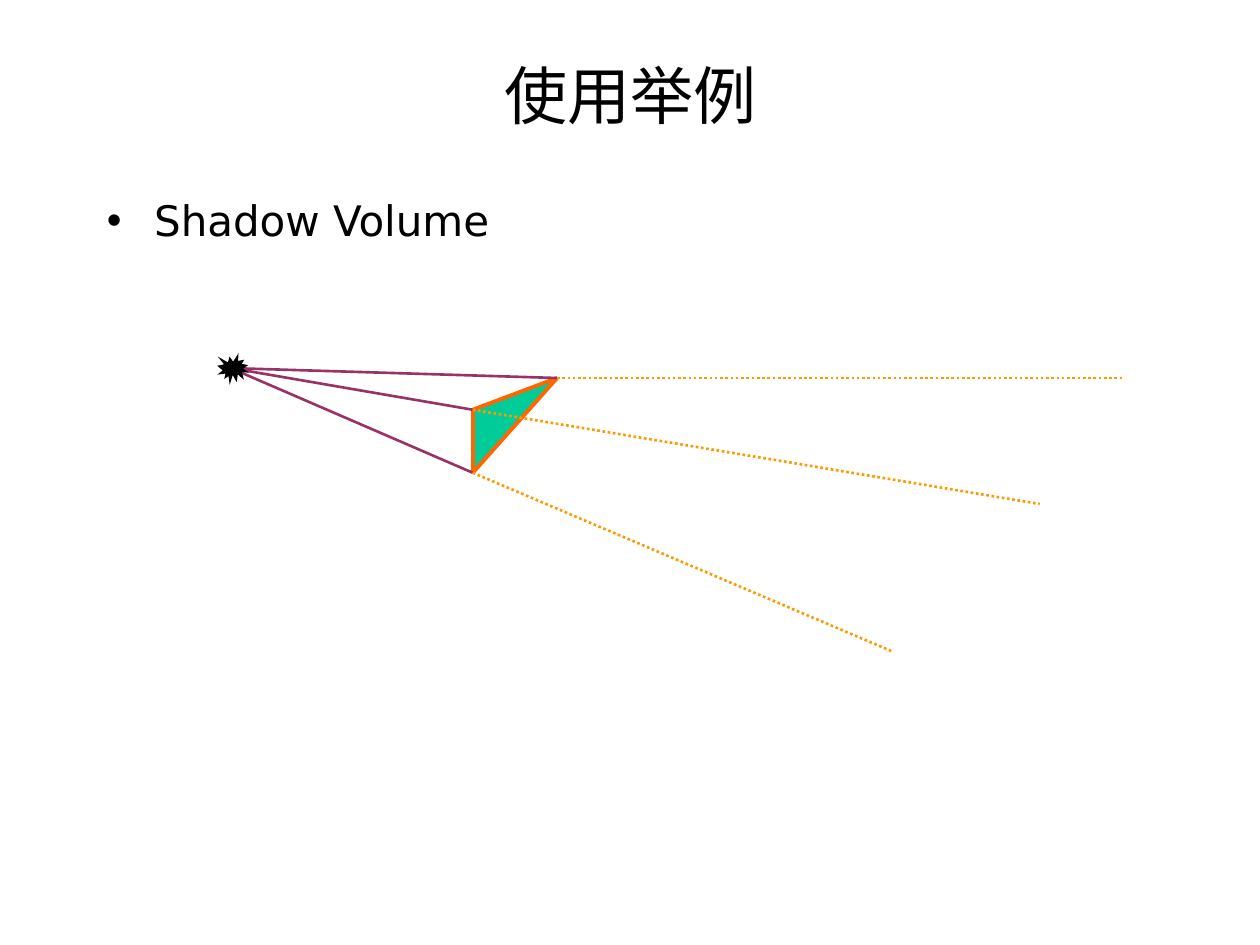
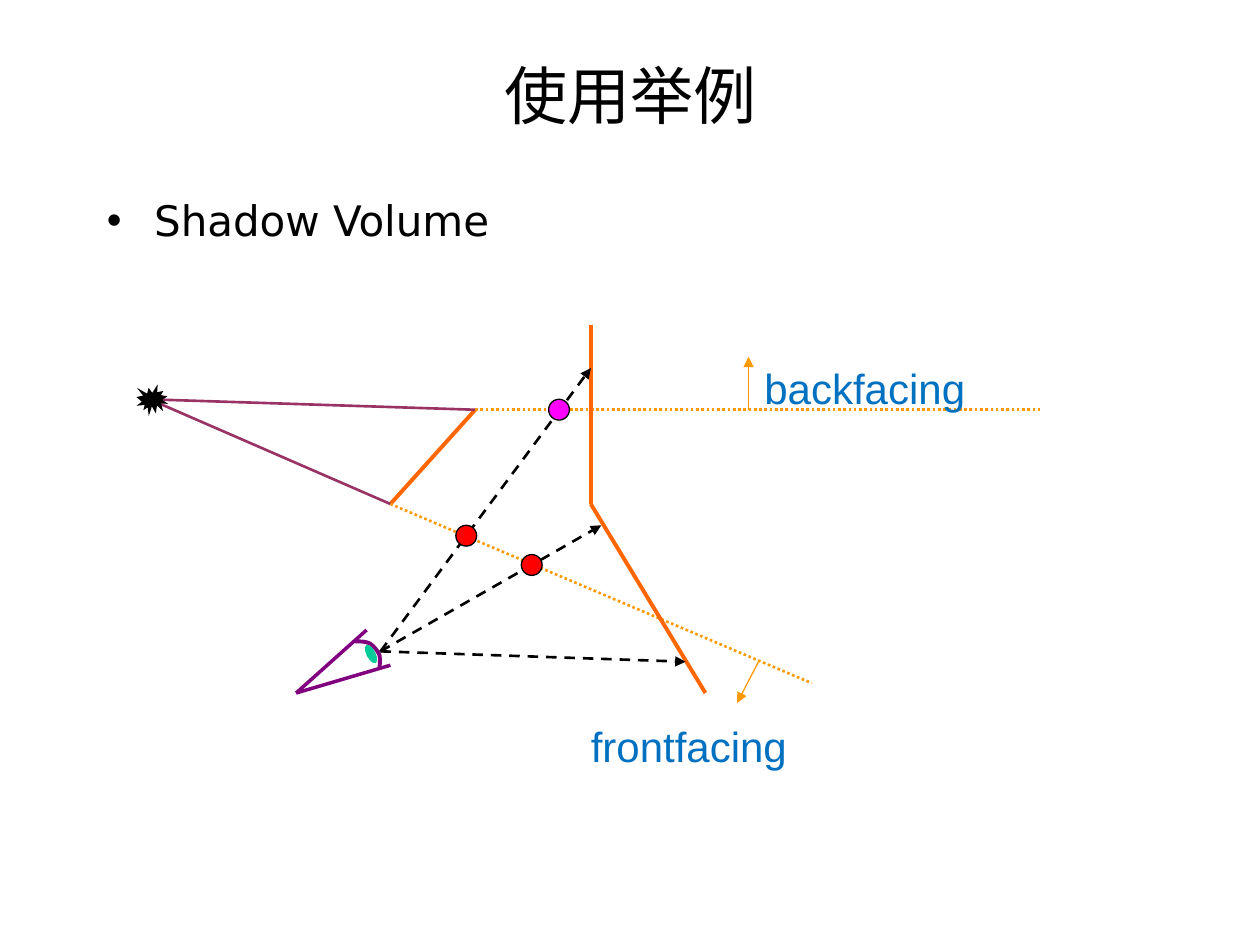
import pptx
import pptx.util
import pptx.dml.color
import pptx.enum.dml
import pptx.enum.shapes
import pptx.enum.text
import pptx.oxml
import pptx.oxml.ns

Cm = pptx.util.Cm
Pt = pptx.util.Pt
SHAPE = pptx.enum.shapes.MSO_SHAPE
DASH = pptx.enum.dml.MSO_LINE

TITLE = "使用举例"
BULLET = "Shadow Volume"
HEADING_FONT = "DejaVu Sans"
LABEL_FONT = "Arial"

COLORS = {
    "text": "000000", "label": "0070C0", "edge": "FF6600", "ray": "993366",
    "volume": "FF9900", "surface": "00CC99", "eye": "800080",
    "back_hit": "FF00FF", "front_hit": "FF0000",
}
LINE_STYLES = {
    "edge": ("edge", 2.25, None, False),
    "ray": ("ray", 1.5, None, False),
    "volume": ("volume", 1.5, DASH.ROUND_DOT, False),
    "eye": ("eye", 2, None, False),
    "sight": ("text", 1.5, DASH.DASH, True),
    "normal": ("volume", 0.75, None, True),
}

TITLE_BOX = (1.9, 0.64, 21.6, 2.54)
BODY_BOX = (1.9, 3.6, 21.6, 13.34)
BURST_OFFSET = (-0.27, -0.3)
BURST_SIZE = 0.64
HIT_SIZE = 0.42

TRIANGLE = {
    "light": (4.65, 7.42),
    "corners": [(11.23, 7.62), (9.53, 9.53), (9.53, 8.26)],
    "far": [(22.66, 7.62), (17.98, 13.13), (20.96, 10.16)],
}
PROFILE = {
    "light": (3.02, 8.05),
    "corners": [(9.58, 8.26), (7.87, 10.16)],
    "far": [(21.01, 8.26), (16.36, 13.77)],
}
WALL = [(11.91, 6.55), (11.91, 10.16), (14.22, 13.97)]
EYE_LIDS = [(7.39, 12.7), (5.97, 13.97), (7.87, 13.41)]
EYE_CURVE = [
    (7.16, 12.93), (7.26, 12.93), (7.39, 12.93), (7.47, 12.98), (7.54, 13.03),
    (7.62, 13.13), (7.65, 13.21), (7.67, 13.28), (7.65, 13.49), (7.65, 13.46),
]
PUPIL_BOX = (7.39, 12.98, 0.18, 0.41)
PUPIL_ROTATION = 332.4
VIEWPOINT = (7.67, 13.13)
SIGHT_ENDS = [(11.91, 7.42), (12.12, 10.59), (13.82, 13.34)]
NORMALS = [((15.09, 8.26), (15.09, 7.19)), ((15.29, 13.34), (14.86, 14.17))]
LABELS = [
    ("frontfacing", (11.66, 14.4, 4.6, 1.27)),
    ("backfacing", (15.16, 7.19, 4.6, 1.27)),
]
HITS = [
    ("back_hit", (11.27, 8.26)),
    ("front_hit", (9.4, 10.8)),
    ("front_hit", (10.72, 11.39)),
]


def rgb(name):
    return pptx.dml.color.RGBColor.from_string(COLORS[name])


def lengths(values):
    return [Cm(value) for value in values]


def format_font(font, name, size, color):
    font.name = name
    font.size = Pt(size)
    font.color.rgb = rgb(color)


def fill_placeholder(placeholder, box, text, size):
    placeholder.left, placeholder.top, placeholder.width, placeholder.height = lengths(box)
    frame = placeholder.text_frame
    frame.text = text
    frame.auto_size = pptx.enum.text.MSO_AUTO_SIZE.NONE
    paragraph = frame.paragraphs[0]
    paragraph.space_before = Pt(0)
    format_font(paragraph.runs[0].font, HEADING_FONT, size, "text")
    return paragraph


def add_content_slide(presentation):
    slide = presentation.slides.add_slide(presentation.slide_layouts[1])
    fill_placeholder(slide.shapes.title, TITLE_BOX, TITLE, 36)
    fill_placeholder(slide.placeholders[1], BODY_BOX, BULLET, 24).line_spacing = 1.2
    return slide


def add_line(shapes, start, end, style):
    color, width, dash, arrow = LINE_STYLES[style]
    connector = shapes.add_connector(
        pptx.enum.shapes.MSO_CONNECTOR.STRAIGHT, *lengths(start + end))
    connector.line.color.rgb = rgb(color)
    connector.line.width = Pt(width)
    if dash:
        connector.line.dash_style = dash
    properties = connector._element.spPr
    if arrow:
        tail = pptx.oxml.parse_xml(
            f'<a:tailEnd {pptx.oxml.ns.nsdecls("a")} type="triangle"/>')
        properties.find(pptx.oxml.ns.qn("a:ln")).append(tail)
    properties.append(pptx.oxml.parse_xml(f'<a:effectLst {pptx.oxml.ns.nsdecls("a")}/>'))


def add_path(shapes, points, style):
    for start, end in zip(points, points[1:]):
        add_line(shapes, start, end, style)


def paint(shape, fill=None, line=None, width=0.75):
    shape.shadow.inherit = False
    if fill:
        shape.fill.solid()
        shape.fill.fore_color.rgb = rgb(fill)
    else:
        shape.fill.background()
    if line:
        shape.line.color.rgb = rgb(line)
        shape.line.width = Pt(width)
    else:
        shape.line.fill.background()


def add_outline(shapes, points, close):
    first, *rest = [lengths(point) for point in points]
    builder = shapes.build_freeform(*first)
    builder.add_line_segments(rest, close=close)
    return builder.convert_to_shape()


def add_burst(shapes, light):
    corner = [place + offset for place, offset in zip(light, BURST_OFFSET)]
    burst = shapes.add_shape(
        SHAPE.EXPLOSION1, *lengths(corner + [BURST_SIZE, BURST_SIZE]))
    paint(burst, "text")


def add_light_and_volume(shapes, scene):
    for corner, far in zip(scene["corners"], scene["far"]):
        add_line(shapes, scene["light"], corner, "ray")
        add_line(shapes, corner, far, "volume")
    add_burst(shapes, scene["light"])


def curve_points(controls, steps=8):
    points = [controls[0]]
    for first in range(0, len(controls) - 1, 3):
        segment = controls[first:first + 4]
        for step in range(1, steps + 1):
            t = step / steps
            weights = ((1 - t) ** 3, 3 * t * (1 - t) ** 2, 3 * t * t * (1 - t), t ** 3)
            points.append(tuple(
                sum(weight * point[axis] for weight, point in zip(weights, segment))
                for axis in (0, 1)))
    return points


def add_eye(slide):
    eye = slide.shapes.add_group_shape().shapes
    add_path(eye, EYE_LIDS, "eye")
    paint(add_outline(eye, curve_points(EYE_CURVE), False), line="eye", width=2.25)
    pupil = eye.add_shape(SHAPE.OVAL, *lengths(PUPIL_BOX))
    pupil.rotation = PUPIL_ROTATION
    paint(pupil, "surface")


def add_label(shapes, text, box):
    frame = shapes.add_textbox(*lengths(box)).text_frame
    frame.text = text
    frame.word_wrap = False
    frame.auto_size = pptx.enum.text.MSO_AUTO_SIZE.SHAPE_TO_FIT_TEXT
    frame.vertical_anchor = pptx.enum.text.MSO_ANCHOR.MIDDLE
    format_font(frame.paragraphs[0].runs[0].font, LABEL_FONT, 24, "label")


def add_hit(shapes, color, center):
    corner = [place - HIT_SIZE / 2 for place in center]
    hit = shapes.add_shape(SHAPE.OVAL, *lengths(corner + [HIT_SIZE, HIT_SIZE]))
    paint(hit, color, "text")


def build_triangle_slide(presentation):
    shapes = add_content_slide(presentation).shapes
    corners = TRIANGLE["corners"]
    paint(add_outline(shapes, corners, True), "surface")
    add_path(shapes, corners + corners[:1], "edge")
    add_light_and_volume(shapes, TRIANGLE)


def build_profile_slide(presentation):
    slide = add_content_slide(presentation)
    shapes = slide.shapes
    add_path(shapes, PROFILE["corners"], "edge")
    add_light_and_volume(shapes, PROFILE)
    add_eye(slide)
    add_path(shapes, WALL, "edge")
    for end in SIGHT_ENDS:
        add_line(shapes, VIEWPOINT, end, "sight")
    for text, box in LABELS:
        add_label(shapes, text, box)
    for start, end in NORMALS:
        add_line(shapes, start, end, "normal")
    for color, center in HITS:
        add_hit(shapes, color, center)


def main():
    presentation = pptx.Presentation()
    presentation.slide_width = Cm(25.4)
    presentation.slide_height = Cm(19.05)
    build_triangle_slide(presentation)
    build_profile_slide(presentation)
    presentation.save("out.pptx")


if __name__ == "__main__":
    main()
